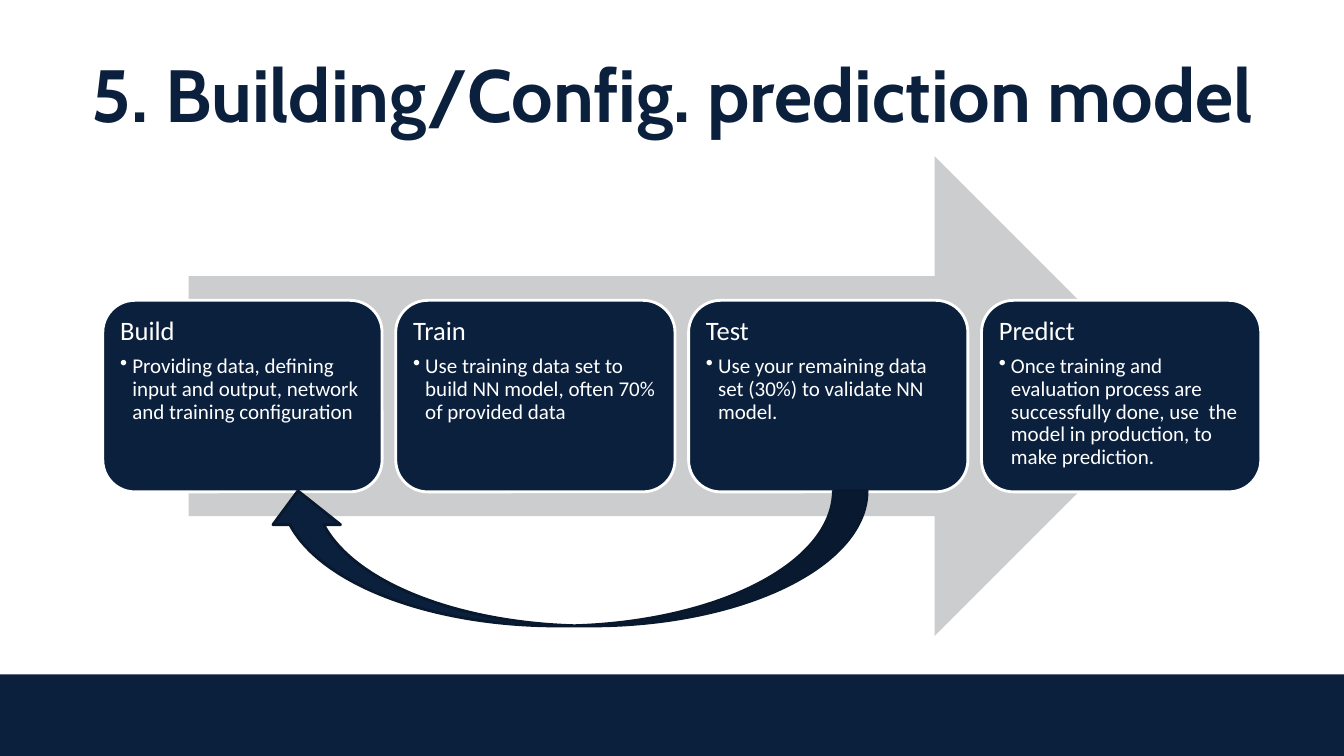
from lxml import etree
from pptx import Presentation
from pptx.dml.color import RGBColor
from pptx.enum.shapes import MSO_SHAPE
from pptx.enum.text import MSO_ANCHOR, MSO_AUTO_SIZE, PP_ALIGN
from pptx.oxml.ns import qn
from pptx.util import Inches, Pt

RECTANGLE = MSO_SHAPE.RECTANGLE
ROUNDED = MSO_SHAPE.ROUNDED_RECTANGLE
RIGHT_ARROW = MSO_SHAPE.RIGHT_ARROW
CURVED_ARROW = MSO_SHAPE.CURVED_DOWN_ARROW
TOP, MIDDLE = MSO_ANCHOR.TOP, MSO_ANCHOR.MIDDLE
LEFT, CENTER = PP_ALIGN.LEFT, PP_ALIGN.CENTER
NO_AUTOFIT = MSO_AUTO_SIZE.NONE

NAVY = RGBColor(0x0B, 0x20, 0x3D)
DARK_NAVY = RGBColor(0x08, 0x18, 0x2D)
GREY = RGBColor(0xCC, 0xCD, 0xCE)
WHITE = RGBColor(0xFF, 0xFF, 0xFF)

STEPS = [
    ("Build", "Providing data, defining input and output, network and training configuration"),
    ("Train", "Use training data set to build NN model, often 70% of provided data"),
    ("Test", "Use your remaining data set (30%) to validate NN model."),
    ("Predict", "Once training and evaluation process are successfully done, use  the model "
                "in production, to make prediction."),
]
STEP_LEFT, STEP_PITCH = 1.02, 2.905


class ProcessSlide:
    title_font = "Cabin"
    body_font = "Calibri"

    def __init__(self, slide):
        self.slide = slide

    def title(self, text, left, top, width, height):
        heading = self.slide.shapes.title
        heading.left, heading.top = Inches(left), Inches(top)
        heading.width, heading.height = Inches(width), Inches(height)
        frame = heading.text_frame
        frame.text = text
        frame.auto_size = NO_AUTOFIT
        frame.vertical_anchor = MIDDLE
        paragraph = frame.paragraphs[0]
        paragraph.alignment = CENTER
        self.style(paragraph, self.title_font, 52.8, NAVY)
        paragraph.font.bold = True

    def style(self, paragraph, font_name, size, color):
        font = paragraph.font
        font.name, font.size = font_name, Pt(size)
        font.color.rgb = color

    def shape(self, kind, left, top, width, height, fill, line=None):
        shape = self.slide.shapes.add_shape(
            kind, Inches(left), Inches(top), Inches(width), Inches(height))
        shape.shadow.inherit = False
        shape.fill.solid()
        shape.fill.fore_color.rgb = fill
        if line is None:
            shape.line.fill.background()
        else:
            shape.line.color.rgb = line
            shape.line.width = Pt(2)
        return shape

    def step(self, left, name, description):
        """Add a rounded card with a heading and one bullet."""
        card = self.shape(ROUNDED, left, 2.98, 2.77, 1.9, NAVY, WHITE)
        frame = card.text_frame
        frame.word_wrap = True
        frame.vertical_anchor = TOP
        frame.margin_left = frame.margin_right = Inches(0.08)
        frame.margin_top = frame.margin_bottom = Inches(0.08)
        heading, detail = frame.paragraphs[0], frame.add_paragraph()
        for paragraph, text, size, gap in ((heading, name, 19, 6.5),
                                           (detail, description, 15, 2.25)):
            paragraph.text = text
            paragraph.alignment = LEFT
            paragraph.line_spacing = 0.9
            paragraph.space_after = Pt(gap)
            self.style(paragraph, self.body_font, size, WHITE)
        detail.level = 1
        self.bullet(detail)

    def bullet(self, paragraph):
        properties = paragraph._p.get_or_add_pPr()
        properties.set("marL", str(Inches(0.12)))
        properties.set("indent", str(Inches(-0.12)))
        mark = etree.Element(qn("a:buChar"), char="•")
        properties.find(qn("a:defRPr")).addprevious(mark)


def main():
    presentation = Presentation()
    presentation.slide_width, presentation.slide_height = Inches(13.33), Inches(7.5)
    title_only = presentation.slide_layouts[5]
    page = ProcessSlide(presentation.slides.add_slide(title_only))

    page.shape(RECTANGLE, 0, 6.69, 13.33, 0.81, NAVY)
    page.shape(RIGHT_ARROW, 1.87, 1.55, 9.78, 4.76, GREY)
    for index, (name, description) in enumerate(STEPS):
        page.step(STEP_LEFT + index * STEP_PITCH, name, description)
    page.title("5. Building/Config. prediction model", 0.67, 0.3, 12, 1.25)
    feedback = page.shape(CURVED_ARROW, 2.62, 4.87, 5.98, 1.34, NAVY, DARK_NAVY)
    feedback.rotation = 180

    presentation.save("out.pptx")


if __name__ == "__main__":
    main()
